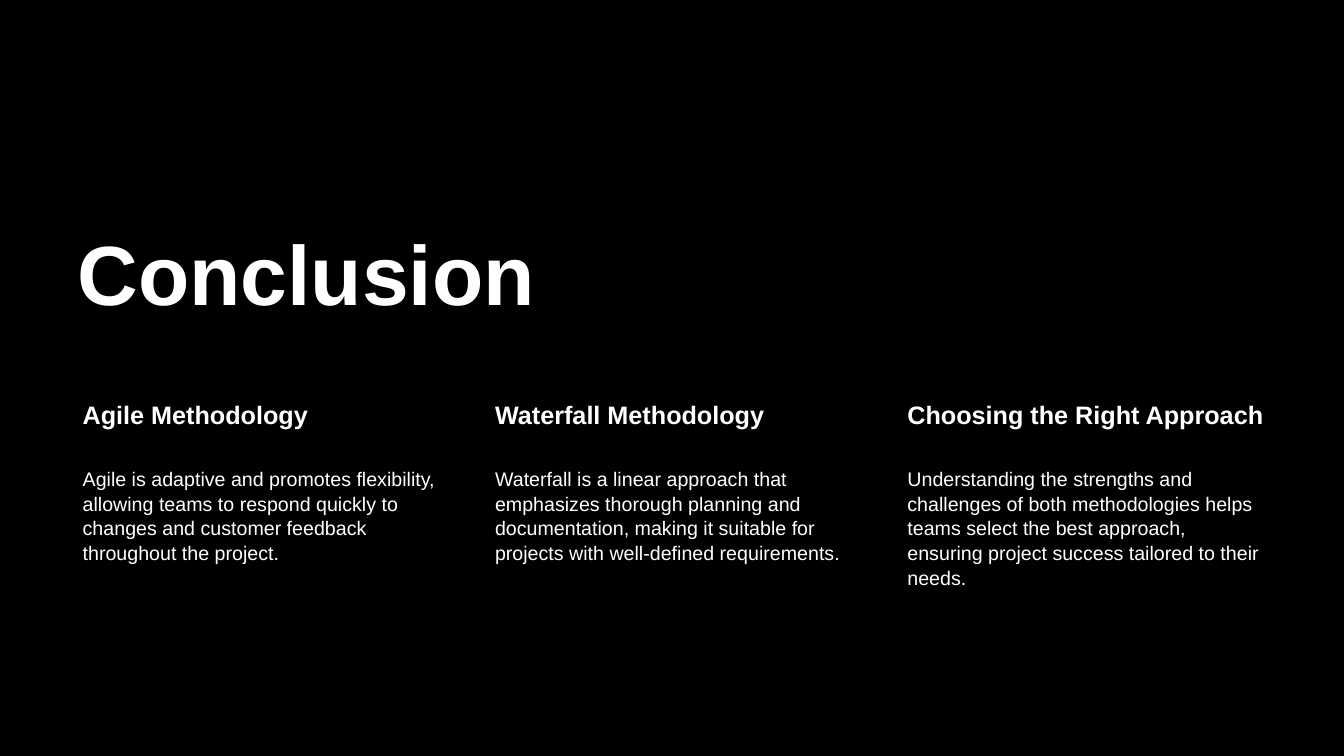
from pptx import Presentation
from pptx.dml.color import RGBColor
from pptx.enum import text
from pptx.util import Inches, Pt


def color(hex_string):
    return RGBColor.from_string(hex_string)


class ConclusionSlide:
    FONT = "Arial"
    TEXT_COLOR = "FFFFFF"
    BACKGROUND = "000000"

    def __init__(self, presentation):
        self.slide = presentation.slides.add_slide(presentation.slide_layouts[5])
        fill = self.slide.background.fill
        fill.solid()
        fill.fore_color.rgb = color(self.BACKGROUND)

    def set_text(self, shape, wording, size, bold, line_spacing):
        """Fill a shape with one left-aligned paragraph in the slide's style."""
        frame = shape.text_frame
        frame.text = wording
        frame.word_wrap = True
        frame.auto_size = text.MSO_AUTO_SIZE.NONE
        paragraph = frame.paragraphs[0]
        paragraph.alignment = text.PP_ALIGN.LEFT
        paragraph.line_spacing = line_spacing
        font = paragraph.font
        font.name, font.size, font.bold = self.FONT, Pt(size), bold
        font.color.rgb = color(self.TEXT_COLOR)

    def title(self, wording, left, top, width, height):
        shape = self.slide.shapes.title
        shape.left, shape.top = Inches(left), Inches(top)
        shape.width, shape.height = Inches(width), Inches(height)
        self.set_text(shape, wording, 60, True, 0.9)
        shape.text_frame.vertical_anchor = text.MSO_ANCHOR.BOTTOM

    def text_box(self, wording, left, top, width, height, size, inset,
                 bold=False, line_spacing=1.0):
        shape = self.slide.shapes.add_textbox(
            Inches(left), Inches(top), Inches(width), Inches(height))
        self.set_text(shape, wording, size, bold, line_spacing)
        frame = shape.text_frame
        frame.vertical_anchor = text.MSO_ANCHOR.TOP
        frame.margin_left = Inches(0.15)
        frame.margin_top = frame.margin_right = frame.margin_bottom = Inches(inset)

    def column(self, heading, body, left):
        """Place a bold heading with its body text below."""
        width = 3.72
        self.text_box(heading, left, 3.93, width, 0.67, 18, 0.03, bold=True)
        self.text_box(body, left, 4.6, width, 2.06, 14, 0.02, line_spacing=1.05)


COLUMNS = [
    ("Agile Methodology",
     "Agile is adaptive and promotes flexibility, allowing teams to respond "
     "quickly to changes and customer feedback throughout the project."),
    ("Waterfall Methodology",
     "Waterfall is a linear approach that emphasizes thorough planning and "
     "documentation, making it suitable for projects with well-defined "
     "requirements."),
    ("Choosing the Right Approach",
     "Understanding the strengths and challenges of both methodologies helps "
     "teams select the best approach, ensuring project success tailored to "
     "their needs."),
]


def main():
    presentation = Presentation()
    presentation.slide_width = Inches(13.33)
    presentation.slide_height = Inches(7.5)
    conclusion = ConclusionSlide(presentation)
    left, column_step = 0.67, 4.09
    conclusion.title("Conclusion", left, 2.02, 8.03, 1.24)
    for index, (heading, body) in enumerate(COLUMNS):
        conclusion.column(heading, body, left + index * column_step)
    presentation.save("out.pptx")


if __name__ == "__main__":
    main()
